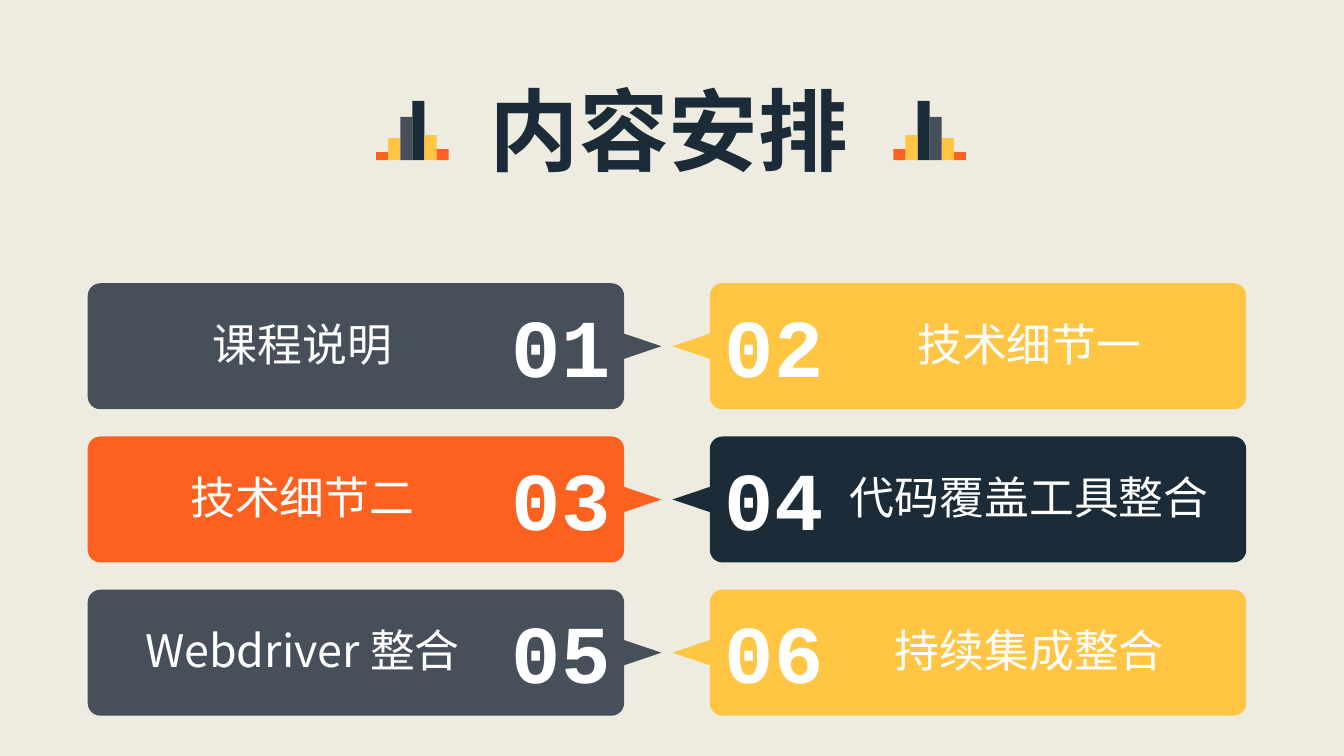
from lxml import etree
from pptx import Presentation
from pptx.dml.color import RGBColor
from pptx.enum.shapes import MSO_SHAPE
from pptx.enum.text import MSO_AUTO_SIZE, PP_ALIGN
from pptx.oxml.ns import qn
from pptx.util import Inches, Pt

RECTANGLE = MSO_SHAPE.RECTANGLE
ROUNDED = MSO_SHAPE.ROUNDED_RECTANGLE
TRIANGLE = MSO_SHAPE.ISOSCELES_TRIANGLE
CENTER = PP_ALIGN.CENTER
FIT_SHAPE = MSO_AUTO_SIZE.SHAPE_TO_FIT_TEXT

COLORS = {
    "paper": "EEECE1",
    "slate": "464F5A",
    "yellow": "FFC543",
    "orange": "FC611F",
    "navy": "1C2B38",
    "white": "FFFFFF",
}
CJK_FONT = "Noto Sans CJK SC"

TITLE = "内容安排"
# Label, label font, label width, card colour; cards fill left then right
CARDS = [
    ("课程说明", "Calibri", 2.0, "slate"),
    ("技术细节一", CJK_FONT, 2.45, "yellow"),
    ("技术细节二", CJK_FONT, 2.45, "orange"),
    ("代码覆盖工具整合", "Calibri", 3.79, "navy"),
    ("Webdriver 整合", CJK_FONT, 3.46, "slate"),
    ("持续集成整合", "Calibri", 2.89, "yellow"),
]
# Card left, pointer left, pointer rotation, number left and width, label centre
SIDES = [
    (0.87, 6.25, 90, 4.95, 1.23, 3.0),
    (7.04, 6.73, 270, 7.05, 1.26, 10.21),
]
# Height and colour of the title bars, from the outside inwards
BARS = [(0.08, "orange"), (0.22, "yellow"), (0.43, "slate"),
        (0.59, "navy"), (0.25, "yellow"), (0.11, "orange")]

CARD_TOP, CARD_STEP, CARD_WIDTH, CARD_HEIGHT = 2.81, 1.52, 5.32, 1.25
POINTER_WIDTH, POINTER_HEIGHT = 0.25, 0.37
BAR_WIDTH, BAR_BASE = 0.12, 1.59
LEFT_BARS, RIGHT_BARS = 3.73, 9.46


def add_block(shapes, kind, left, top, width, height, color):
    block = shapes.add_shape(kind, Inches(left), Inches(top), Inches(width), Inches(height))
    block.shadow.inherit = False
    block.fill.solid()
    block.fill.fore_color.rgb = RGBColor.from_string(COLORS[color])
    block.line.fill.background()
    return block


def add_text(shapes, text, left, top, width, height, *, size, font,
             color="white", bold=False, wrap=True):
    box = shapes.add_textbox(Inches(left), Inches(top), Inches(width), Inches(height))
    frame = box.text_frame
    frame.word_wrap = wrap
    frame.auto_size = FIT_SHAPE
    para = frame.paragraphs[0]
    para.alignment = CENTER
    span = para.add_run()
    span.text = text
    span.font.size = Pt(size)
    span.font.bold = bold
    span.font.color.rgb = RGBColor.from_string(COLORS[color])
    span.font.name = font
    east_asian = etree.Element(qn("a:ea"), typeface=CJK_FONT)
    span.font._element.find(qn("a:latin")).addnext(east_asian)


def add_title(page):
    group = page.shapes.add_group_shape()
    add_text(group.shapes, TITLE, 4.53, 0.69, 4.21, 1.18,
             size=64, font="Calibri", color="navy", bold=True)
    for start, direction in ((LEFT_BARS, 1), (RIGHT_BARS, -1)):
        for index, (height, color) in enumerate(BARS):
            add_block(group.shapes, RECTANGLE, start + direction * index * BAR_WIDTH,
                      BAR_BASE - height, BAR_WIDTH, height, color)


def add_card(page, index, label, font, label_width, color):
    row, side = divmod(index, 2)
    left, pointer_left, rotation, number_left, number_width, center = SIDES[side]
    top = CARD_TOP + row * CARD_STEP
    group = page.shapes.add_group_shape()
    card = add_block(group.shapes, ROUNDED, left, top, CARD_WIDTH, CARD_HEIGHT, color)
    card.adjustments[0] = 0.1
    pointer = add_block(group.shapes, TRIANGLE, pointer_left,
                        top + (CARD_HEIGHT - POINTER_HEIGHT) / 2,
                        POINTER_WIDTH, POINTER_HEIGHT, color)
    pointer.rotation = rotation
    add_text(page.shapes, f"{index + 1:02}", number_left, top + 0.07, number_width, 1.09,
             size=58.7, font="Courier New", bold=True)
    add_text(page.shapes, label, center - label_width / 2, top + 0.28, label_width, 0.64,
             size=32, font=font, wrap=False)


def main():
    deck = Presentation()
    deck.slide_width, deck.slide_height = Inches(13.33), Inches(7.5)
    page = deck.slides.add_slide(deck.slide_layouts[6])
    page.background.fill.solid()
    page.background.fill.fore_color.rgb = RGBColor.from_string(COLORS["paper"])
    add_title(page)
    for index, card in enumerate(CARDS):
        add_card(page, index, *card)
    deck.save("out.pptx")


if __name__ == "__main__":
    main()
